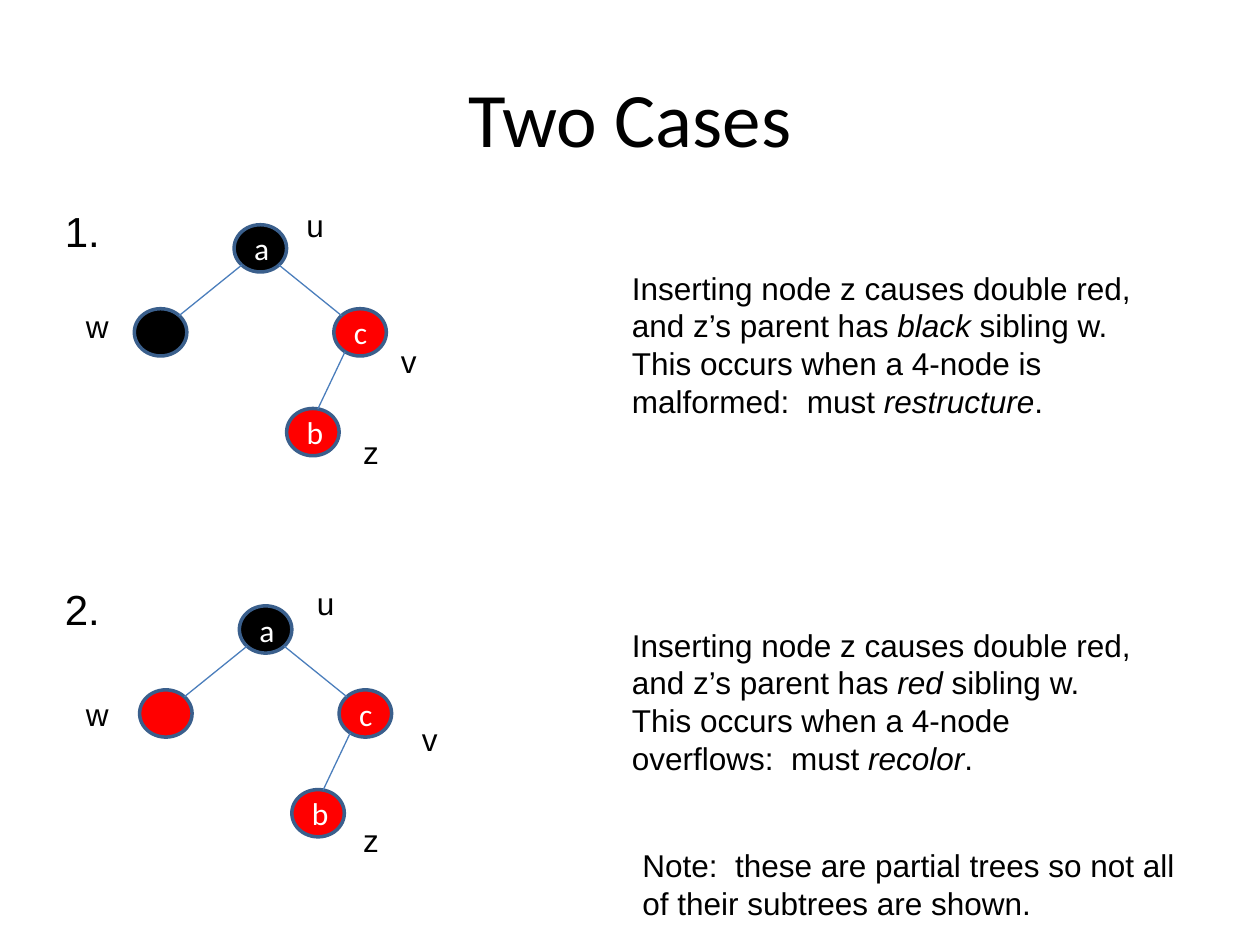
"""Draw two red-black tree cases, each with its explanation."""
import math
from lxml import etree
from pptx import Presentation, util as u
from pptx.dml import color
from pptx.enum import shapes, text
from pptx.oxml import ns

COLUMNS, ROWS = 120, 90
BLACK, RED, WHITE = "000000", "FF0000", "FFFFFF"
OUTLINE, EDGE = "3A5F8C", "4B7EBC"


def paint(target, value):
    """Give a font colour or a fill a solid hex colour."""
    if hasattr(target, "solid"):
        target.solid()
        target = target.fore_color
    target.rgb = color.RGBColor.from_string(value)


def write(para, words, size=18, font="Arial", ink=BLACK, italic=False):
    """Add one formatted span to a paragraph."""
    span = para.add_run()
    span.text = words
    span.font.size, span.font.name = u.Pt(size), font
    span.font.italic = italic
    paint(span.font.color, ink)


class Canvas:
    """Place styled elements on a slide by grid columns and rows."""

    def __init__(self, deck):
        """Start a blank slide and measure its grid."""
        self.page = deck.slides.add_slide(deck.slide_layouts[6])
        self.column = deck.slide_width / COLUMNS
        self.row = deck.slide_height / ROWS

    def grid(self, *lengths):
        """Turn alternating columns and rows into slide lengths."""
        units = (self.column, self.row)
        return [u.Emu(round(length * units[i % 2])) for i, length in enumerate(lengths)]

    def text(self, place, paragraphs, align=text.PP_ALIGN.LEFT,
             anchor=text.MSO_ANCHOR.TOP, **style):
        """Add a text box whose paragraphs list plain and italic spans in turn."""
        frame = self.page.shapes.add_textbox(*self.grid(*place)).text_frame
        frame.word_wrap, frame.vertical_anchor = True, anchor
        for number, spans in enumerate(paragraphs):
            para = frame.add_paragraph() if number else frame.paragraphs[0]
            para.alignment = align
            for index, words in enumerate(spans):
                write(para, words, italic=index % 2 == 1, **style)

    def node(self, left, top, width, height, name, fill):
        """Add a round tree node."""
        place = self.grid(left, top, width, height)
        oval = self.page.shapes.add_shape(shapes.MSO_SHAPE.OVAL, *place)
        oval.shadow.inherit = False
        paint(oval.fill, fill)
        paint(oval.line.fill, OUTLINE)
        oval.line.width = u.Pt(2)
        if name:
            frame = oval.text_frame
            frame.vertical_anchor = text.MSO_ANCHOR.MIDDLE
            frame.paragraphs[0].alignment = text.PP_ALIGN.CENTER
            write(frame.paragraphs[0], name, font="Calibri", ink=WHITE)

    def edge(self, start, end):
        """Add a thin straight line between two grid points."""
        line = self.page.shapes.add_connector(
            shapes.MSO_CONNECTOR.STRAIGHT, *self.grid(*start, *end))
        paint(line.line.fill, EDGE)
        line.line.width = u.Pt(0.75)
        etree.SubElement(line._element.spPr, ns.qn("a:effectLst"))

    def tree(self, left, top, sibling, labels):
        """Add a four-node tree with its outside labels."""
        width, height = 5, 4.5
        nodes = {"a": (0, 0, BLACK), "": (-9.5, 8, sibling),
                 "c": (9.5, 8, RED), "b": (5, 17.5, RED)}
        edges = [("a", 135, "", -45), ("a", 45, "c", -135), ("c", 125, "b", -79)]

        def rim(name, degrees):
            """Find the point of a node's outline at an angle."""
            across, down, _ = nodes[name]
            angle = math.radians(degrees)
            return (left + across + width / 2 * (1 + math.cos(angle)),
                    top + down + height / 2 * (1 + math.sin(angle)))

        for name, (across, down, fill) in nodes.items():
            self.node(left + across, top + down, width, height, name, fill)
        for parent, leaving, child, arriving in edges:
            self.edge(rim(parent, leaving), rim(child, arriving))
        for name, place in labels.items():
            self.text((*place, 4, 4), [[name]])


deck = Presentation()
deck.slide_width, deck.slide_height = u.Inches(10), u.Inches(7.5)
canvas = Canvas(deck)
canvas.text((6, 3.6, 108, 15), [["Two Cases"]], align=text.PP_ALIGN.CENTER,
            anchor=text.MSO_ANCHOR.MIDDLE, size=44, font="Calibri")

opening = "Inserting node z causes double red, and z’s parent has "
cases = [
    ("1.", 19, (22.3, 21.4), BLACK,
     {"u": (28, 19), "v": (37, 32), "w": (7, 28.6), "z": (33.4, 40.6)}, 25,
     [[opening, "black", " sibling w.  This occurs when a 4-node is malformed:  must ",
       "restructure", "."]]),
    ("2.", 55, (22.8, 57.7), RED,
     {"u": (29, 55), "v": (39, 68), "w": (7, 65.6), "z": (33.4, 77.6)}, 59,
     [[opening, "red", " sibling w.  "],
      ["This occurs when a 4-node overflows:  must ", "recolor", "."]]),
]
for number, number_row, root, sibling, labels, text_row, explanation in cases:
    canvas.tree(*root, sibling, labels)
    canvas.text((5, number_row, 5.8, 6), [[number]], size=24)
    canvas.text((59, text_row, 52, 19.4), explanation)

canvas.text((60, 80, 53.6, 8.5), [["Note:  these are partial trees so not all"],
                                  ["of their subtrees are shown."]])
deck.save("out.pptx")
